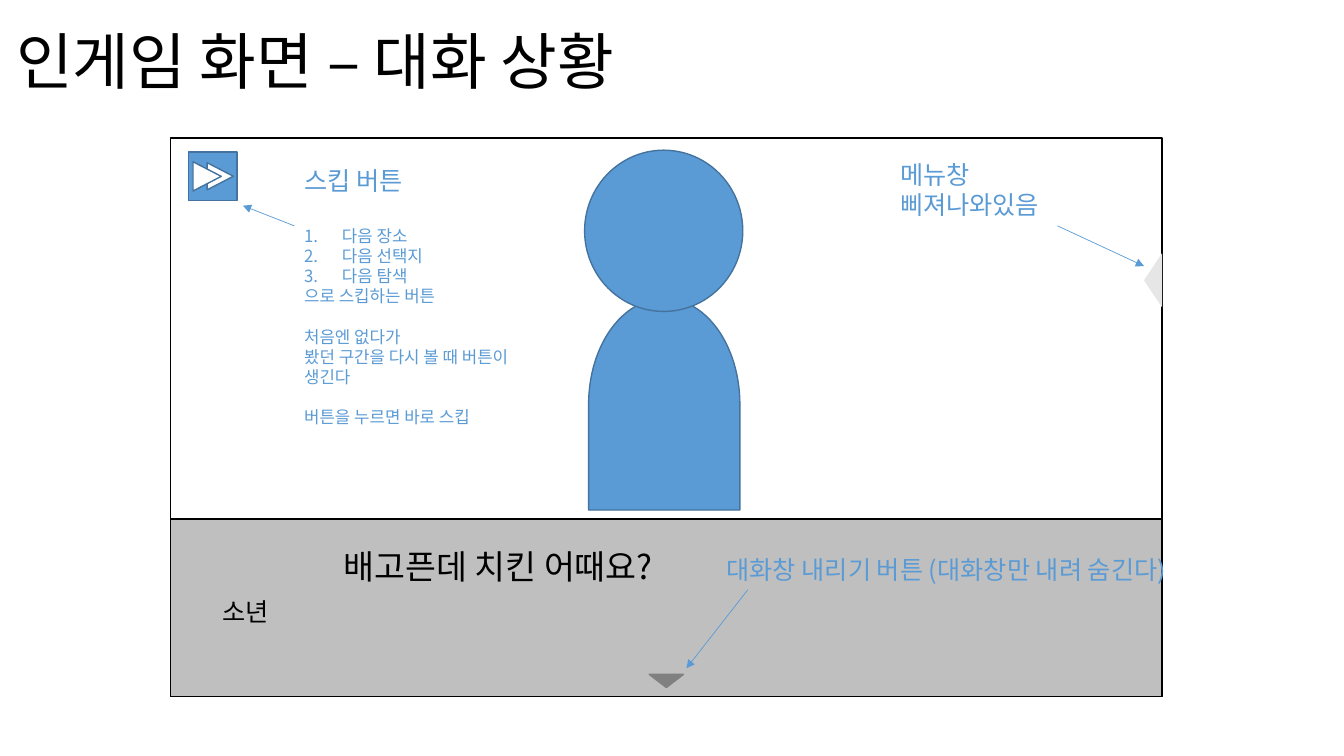
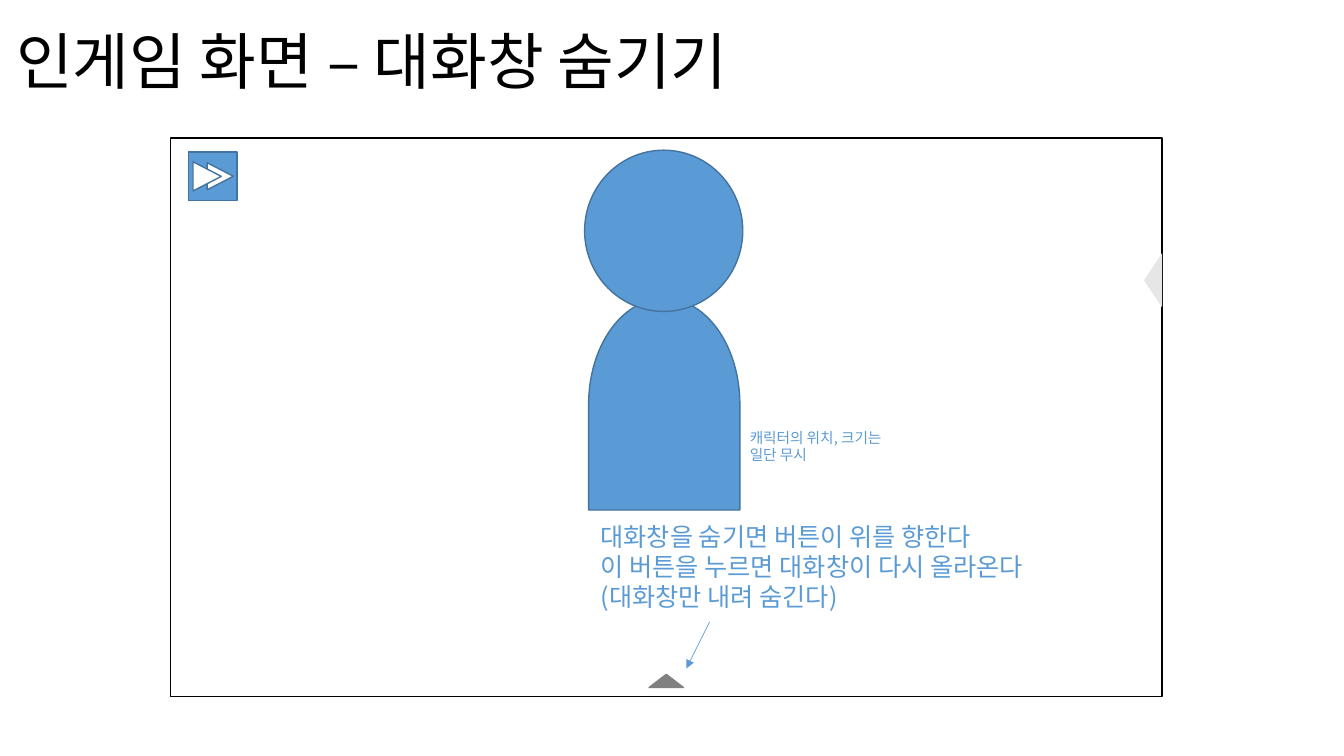
"""Builds two wireframe slides of an in-game dialogue screen."""
from pptx import Presentation
from pptx.dml.color import RGBColor
from pptx.enum.shapes import MSO_CONNECTOR, MSO_SHAPE
from pptx.enum.text import MSO_ANCHOR, PP_ALIGN
from pptx.oxml.ns import qn
from pptx.util import Pt
from lxml.etree import SubElement

FONT = "Noto Sans CJK KR"
BLACK = RGBColor(0x00, 0x00, 0x00)
WHITE = RGBColor(0xFF, 0xFF, 0xFF)
BLUE = RGBColor(0x5B, 0x9B, 0xD5)
DARK_BLUE = RGBColor(0x43, 0x73, 0x9E)
PANEL_GREY = RGBColor(0xBF, 0xBF, 0xBF)
BUTTON_GREY = RGBColor(0x80, 0x80, 0x80)
TAB_GREY = RGBColor(0xE7, 0xE6, 0xE6)

LEADING = 1.2
NUMBER_INDENT = 27
SCREEN = (121.7, 98.6, 708.5, 398.9)
DIALOGUE_PANEL = (121.7, 370.8, 708.5, 126.7)
TOGGLE_BUTTON = (463.7, 481.7, 24.5, 9.4)
TOGGLE_TIP = (490.3, 477.4)

PARTS = [
    (MSO_SHAPE.FLOWCHART_DELAY, (398.9, 234.7, 151.2, 108), 270, BLUE, DARK_BLUE),
    (MSO_SHAPE.OVAL, (417.6, 107.3, 113, 115.2), 0, BLUE, DARK_BLUE),
    (MSO_SHAPE.RECTANGLE, (134.6, 108.7, 34.6, 34.6), 0, BLUE, DARK_BLUE),
    (MSO_SHAPE.ISOSCELES_TRIANGLE, (147.6, 116.6, 19.4, 18.7), 90, WHITE, DARK_BLUE),
    (MSO_SHAPE.ISOSCELES_TRIANGLE, (137.5, 115.9, 20.9, 20.2), 90, WHITE, DARK_BLUE),
    (MSO_SHAPE.ISOSCELES_TRIANGLE, (804.2, 193.7, 38.9, 13), 270, TAB_GREY, None),
]

SLIDES = [
    {
        "title": "인게임 화면 – 대화 상황",
        "dialogue_open": True,
        "notes": [
            ((238.3, 386.6, 372.2, 36), BLACK, 24, ["배고픈데 치킨 어때요?"]),
            ((151.9, 422.6, 72, 28.8), BLACK, 18, ["소년"]),
            ((210.2, 114.5, 180, 28.8), BLUE, 18, ["스킵 버튼"]),
            ((210.2, 157.7, 180, 153.4), BLUE, 12, [
                ("다음 장소", "number"), ("다음 선택지", "number"), ("다음 탐색", "number"),
                "으로 스킵하는 버튼", ("처음엔 없다가", "gap"),
                "봤던 구간을 다시 볼 때 버튼이 생긴다", ("버튼을 누르면 바로 스킵", "gap")]),
            ((511.9, 392.4, 408.2, 28.8), BLUE, 18, ["대화창 내리기 버튼 (대화창만 내려 숨긴다)"]),
            ((635.8, 110.2, 136.8, 51.1), BLUE, 18, ["메뉴창", "삐져나와있음"]),
        ],
        "arrows": [((210.2, 161.3), (173.5, 146.9)), ((534.2, 421.2), TOGGLE_TIP),
                   ((755.3, 161.3), (817.2, 190.1))],
    },
    {
        "title": "인게임 화면 – 대화창 숨기기",
        "dialogue_open": False,
        "notes": [
            ((421.9, 368.6, 408.2, 72.7), BLUE, 18, [
                "대화창을 숨기면 버튼이 위를 향한다",
                "이 버튼을 누르면 대화창이 다시 올라온다", "(대화창만 내려 숨긴다)"]),
            ((528.5, 302.4, 210.2, 33.8), BLUE, 10.5, ["캐릭터의 위치, 크기는", "일단 무시"]),
        ],
        "arrows": [((506.9, 444.2), TOGGLE_TIP)],
    },
]


def points(values):
    return [Pt(value) for value in values]


def add_run(paragraph, text, size, color):
    run = paragraph.add_run()
    run.text = text
    run.font.size = Pt(size)
    run.font.name = FONT
    run.font.color.rgb = color
    SubElement(run.font._element, qn("a:ea"), typeface=FONT)


def add_title(slide, text):
    title = slide.shapes.title
    title.left, title.top, title.width, title.height = points((4.3, 5.8, 828, 80.6))
    title.text_frame.vertical_anchor = MSO_ANCHOR.MIDDLE
    paragraph = title.text_frame.paragraphs[0]
    paragraph.alignment = PP_ALIGN.LEFT
    paragraph.line_spacing = 0.9
    add_run(paragraph, text, 44, BLACK)


def add_part(slide, kind, box, rotation, fill, outline):
    part = slide.shapes.add_shape(kind, *points(box))
    part.shadow.inherit = False
    part.rotation = rotation
    part.fill.solid()
    part.fill.fore_color.rgb = fill
    if outline is None:
        part.line.fill.background()
    else:
        part.line.color.rgb = outline
        part.line.width = Pt(1)


def add_note(slide, box, color, size, lines):
    frame = slide.shapes.add_textbox(*points(box)).text_frame
    frame.word_wrap = True
    for index, line in enumerate(lines):
        text, style = (line, None) if isinstance(line, str) else line
        paragraph = frame.paragraphs[0] if index == 0 else frame.add_paragraph()
        paragraph.line_spacing = Pt(size * LEADING)
        if style == "gap":
            paragraph.space_before = Pt(size * LEADING)
        elif style == "number":
            properties = paragraph._p.get_or_add_pPr()
            properties.set("marL", str(Pt(NUMBER_INDENT)))
            properties.set("indent", str(-Pt(NUMBER_INDENT)))
            SubElement(properties, qn("a:buFont"), typeface=FONT)
            SubElement(properties, qn("a:buAutoNum"), type="arabicPeriod")
        add_run(paragraph, text, size, color)


def add_arrow(slide, start, tip):
    arrow = slide.shapes.add_connector(MSO_CONNECTOR.STRAIGHT, *points(start + tip))
    arrow.line.color.rgb = BLUE
    arrow.line.width = Pt(0.5)
    SubElement(arrow.line._get_or_add_ln(), qn("a:tailEnd"), type="triangle")
    SubElement(arrow._element.spPr, qn("a:effectLst"))


def build_slide(deck, content):
    slide = deck.slides.add_slide(deck.slide_layouts[5])
    add_title(slide, content["title"])
    add_part(slide, MSO_SHAPE.RECTANGLE, SCREEN, 0, WHITE, BLACK)
    if content["dialogue_open"]:
        add_part(slide, MSO_SHAPE.RECTANGLE, DIALOGUE_PANEL, 0, PANEL_GREY, BLACK)
    toggle_rotation = 180 if content["dialogue_open"] else 0
    add_part(slide, MSO_SHAPE.ISOSCELES_TRIANGLE, TOGGLE_BUTTON, toggle_rotation,
             BUTTON_GREY, BUTTON_GREY)
    for part in PARTS:
        add_part(slide, *part)
    for note in content["notes"]:
        add_note(slide, *note)
    for start, tip in content["arrows"]:
        add_arrow(slide, start, tip)


def main():
    deck = Presentation()
    deck.slide_width, deck.slide_height = Pt(960), Pt(540)
    for content in SLIDES:
        build_slide(deck, content)
    deck.save("out.pptx")


if __name__ == "__main__":
    main()
